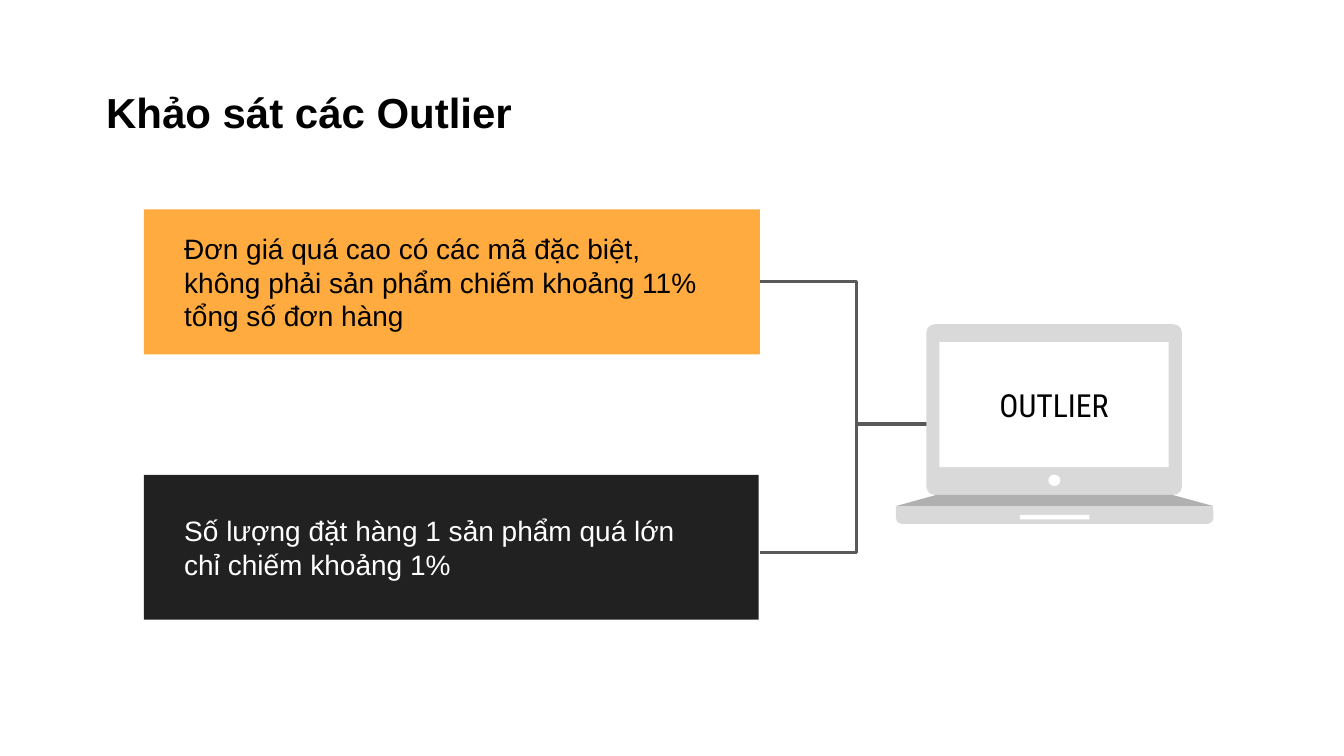
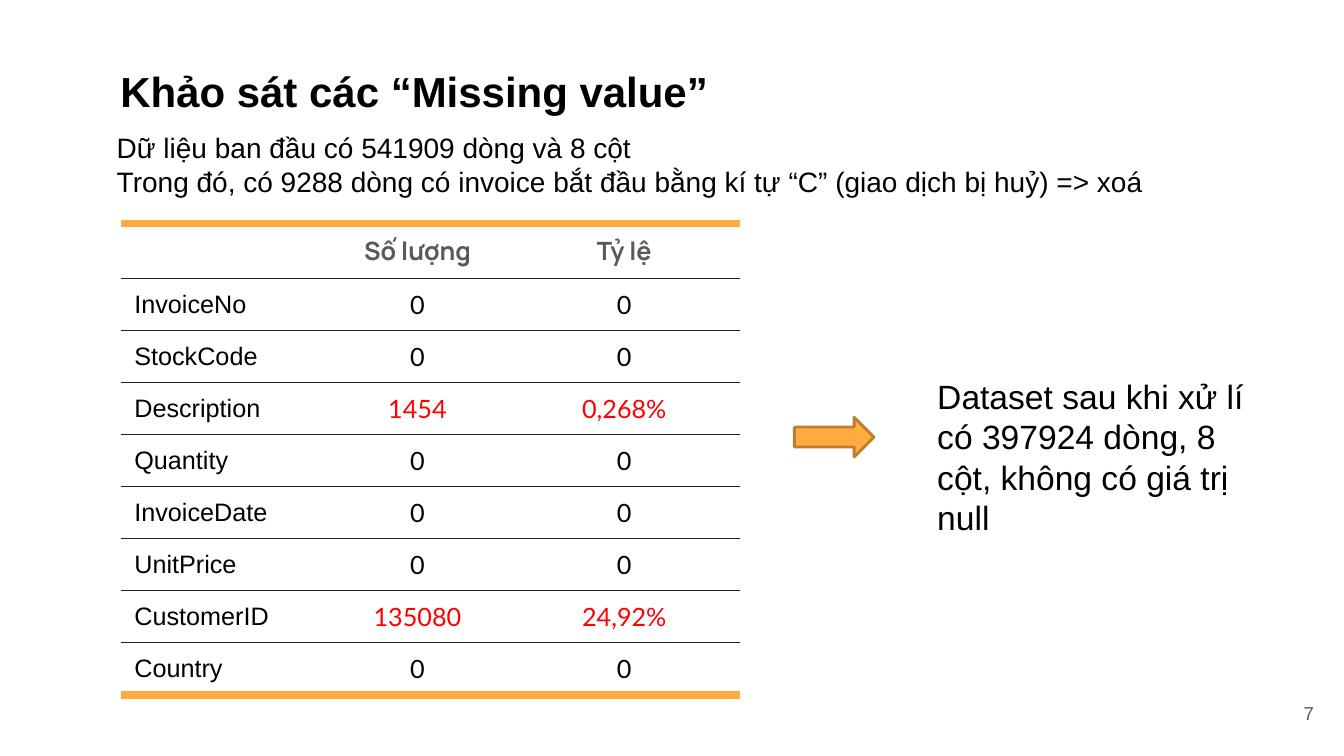
from lxml.etree import SubElement
from pptx import Presentation
from pptx.dml.color import RGBColor
from pptx.enum.shapes import MSO_CONNECTOR, MSO_SHAPE
from pptx.enum.text import MSO_ANCHOR, MSO_AUTO_SIZE, PP_ALIGN
from pptx.oxml.ns import qn
from pptx.util import Pt

BLACK = RGBColor(0x00, 0x00, 0x00)
WHITE = RGBColor(0xFF, 0xFF, 0xFF)
CHARCOAL = RGBColor(0x21, 0x21, 0x21)
GREY = RGBColor(0x59, 0x59, 0x59)
SILVER = RGBColor(0xD9, 0xD9, 0xD9)
HINGE_GREY = RGBColor(0xB0, 0xB0, 0xB0)
ORANGE = RGBColor(0xFF, 0xAB, 0x40)
BROWN = RGBColor(0xBD, 0x7F, 0x2F)
RED = RGBColor(0xFF, 0x00, 0x00)
INSET = Pt(9.6)


def write(frame, lines, size, color=BLACK, font="Arial", bold=False, align=PP_ALIGN.LEFT):
    for index, line in enumerate(lines):
        paragraph = frame.add_paragraph() if index else frame.paragraphs[0]
        paragraph.alignment = align
        run = paragraph.add_run()
        run.text = line
        run.font.size = Pt(size)
        run.font.name = font
        run.font.bold = bold
        run.font.color.rgb = color


def paint(shape, color):
    shape.shadow.inherit = False
    shape.fill.solid()
    shape.fill.fore_color.rgb = color
    shape.line.fill.background()
    return shape


prs = Presentation()
prs.slide_width, prs.slide_height = Pt(960), Pt(540)

# Slides with their titles
slides = []
for heading, left, top in [
    ("Khảo sát các Outlier", 66.2, 17.3),
    ("Khảo sát các “Missing value”", 76.3, 2.2),
]:
    slide = prs.slides.add_slide(prs.slide_layouts[5])
    title = slide.shapes.title
    title.left, title.top, title.width, title.height = Pt(left), Pt(top), Pt(440), Pt(90)
    frame = title.text_frame
    frame.auto_size = MSO_AUTO_SIZE.NONE
    frame.vertical_anchor = MSO_ANCHOR.BOTTOM
    frame.margin_left = frame.margin_right = INSET
    frame.margin_top = frame.margin_bottom = INSET
    write(frame, [heading], 30, bold=True)
    slides.append(slide)
outlier_slide, missing_slide = slides

# Slide 1: branches from the findings to the laptop
shapes = outlier_slide.shapes
for start_y, end_y in [(302.4, 201), (303.1, 394.8)]:
    branch = shapes.add_connector(
        MSO_CONNECTOR.ELBOW, Pt(681), Pt(start_y), Pt(543), Pt(end_y))
    branch.line.color.rgb = GREY
    branch.line.width = Pt(2.25)
    SubElement(branch._element.spPr, qn("a:effectLst"))

# Laptop
lid = paint(shapes.add_shape(
    MSO_SHAPE.ROUNDED_RECTANGLE, Pt(661.7), Pt(231.6), Pt(182.6), Pt(122)), SILVER)
lid.adjustments[0] = 0.05

screen = paint(shapes.add_shape(
    MSO_SHAPE.RECTANGLE, Pt(671), Pt(244.4), Pt(163.8), Pt(89.2)), WHITE)
screen.text_frame.vertical_anchor = MSO_ANCHOR.MIDDLE
write(screen.text_frame, ["OUTLIER"], 22.7, font="Roboto Condensed", align=PP_ALIGN.CENTER)

hinge_outline = shapes.build_freeform(Pt(837.4), Pt(353.5))
hinge_outline.add_line_segments([
    (Pt(668.9), Pt(353.5)), (Pt(640), Pt(361.5)),
    (Pt(753.4), Pt(364.5)), (Pt(866.7), Pt(361.5))])
paint(hinge_outline.convert_to_shape(), HINGE_GREY)

base = paint(shapes.add_shape(
    MSO_SHAPE.ROUND_2_SAME_RECTANGLE, Pt(640), Pt(364.2), Pt(226.7), Pt(10)), SILVER)
base.adjustments[0] = 0
base.adjustments[1] = 0.42

for preset, left, top, width, height, color in [
    (MSO_SHAPE.RECTANGLE, 728.6, 367.7, 49.6, 3.4, WHITE),
    (MSO_SHAPE.RECTANGLE, 640, 361.5, 226.4, 3, SILVER),
    (MSO_SHAPE.OVAL, 748.8, 339, 8.6, 8.2, WHITE),
]:
    paint(shapes.add_shape(preset, Pt(left), Pt(top), Pt(width), Pt(height)), color)

# Findings
for finding, top, width, fill, ink in [
    ("Số lượng đặt hàng 1 sản phẩm quá lớn chỉ chiếm khoảng 1%",
     339.2, 439.2, CHARCOAL, WHITE),
    ("Đơn giá quá cao có các mã đặc biệt, không phải sản phẩm chiếm khoảng 11% "
     "tổng số đơn hàng", 149.6, 440, ORANGE, BLACK),
]:
    box = paint(shapes.add_shape(
        MSO_SHAPE.RECTANGLE, Pt(102.8), Pt(top), Pt(width), Pt(103.5)), fill)
    frame = box.text_frame
    frame.vertical_anchor = MSO_ANCHOR.MIDDLE
    frame.margin_left = frame.margin_right = Pt(28.8)
    frame.margin_top = frame.margin_bottom = INSET
    write(frame, [finding], 20, ink)

# Slide 2: missing values per column
shapes = missing_slide.shapes
missing_rows = [
    ("", "Số lượng", "Tỷ lệ"),
    ("InvoiceNo", "0", "0"),
    ("StockCode", "0", "0"),
    ("Description", "1454", "0,268%"),
    ("Quantity", "0", "0"),
    ("InvoiceDate", "0", "0"),
    ("UnitPrice", "0", "0"),
    ("CustomerID", "135080", "24,92%"),
    ("Country", "0", "0"),
]
last_row = len(missing_rows) - 1
table = shapes.add_table(
    len(missing_rows), 3, Pt(86.4), Pt(159.8), Pt(442.4), Pt(330)).table
table.first_row = table.horz_banding = False
for column, width in zip(table.columns, [147, 129.6, 165.8]):
    column.width = Pt(width)
for r, values in enumerate(missing_rows):
    table.rows[r].height = Pt(37.2 if r else 32.4)
    for c, value in enumerate(values):
        cell = table.cell(r, c)
        cell.vertical_anchor = MSO_ANCHOR.MIDDLE
        cell.margin_left = cell.margin_right = INSET
        cell.margin_top = cell.margin_bottom = Pt(7.2)
        # Rules above and below only, thick at the table's ends
        properties = cell._tc.get_or_add_tcPr()
        for side in ("a:lnL", "a:lnR"):
            SubElement(SubElement(properties, qn(side)), qn("a:noFill"))
        for side, is_end in (("a:lnT", r == 0), ("a:lnB", r == last_row)):
            rule = SubElement(properties, qn(side), w=str(Pt(6 if is_end else 0.75)))
            solid = SubElement(rule, qn("a:solidFill"))
            SubElement(solid, qn("a:srgbClr"), val=str(ORANGE if is_end else CHARCOAL))
        cell.fill.background()
        if not value:
            continue
        if r == 0:
            write(cell.text_frame, [value], 18, GREY, "Manrope", True, PP_ALIGN.CENTER)
        elif c == 0:
            write(cell.text_frame, [value], 18)
        else:
            write(cell.text_frame, [value], 18, BLACK if value == "0" else RED,
                  "Lato", align=PP_ALIGN.CENTER)

# Arrow to the cleaned dataset
arrow = paint(shapes.add_shape(
    MSO_SHAPE.RIGHT_ARROW, Pt(567.4), Pt(298), Pt(56.9), Pt(28.4)), ORANGE)
arrow.line.color.rgb = BROWN
arrow.line.width = Pt(2)

# Remarks and page number
for lines, left, top, width, height, size in [
    (["Dữ liệu ban đầu có 541909 dòng và 8 cột",
      "Trong đó, có 9288 dòng có invoice bắt đầu bằng kí tự “C” (giao dịch bị huỷ) => xoá"],
     76.3, 90, 808, 55.4, 20),
    (["Dataset sau khi xử lí có 397924 dòng, 8 cột, không có giá trị null"],
     662.4, 265, 240.5, 123.8, 24),
]:
    remark = shapes.add_textbox(Pt(left), Pt(top), Pt(width), Pt(height))
    remark.text_frame.word_wrap = True
    write(remark.text_frame, lines, size)

page_number = shapes.add_textbox(Pt(890.6), Pt(493.2), Pt(57.6), Pt(33))
frame = page_number.text_frame
frame.word_wrap = True
frame.margin_left = frame.margin_right = INSET
frame.margin_top = frame.margin_bottom = INSET
write(frame, ["7"], 13.3, GREY, align=PP_ALIGN.RIGHT)

prs.save("out.pptx")
